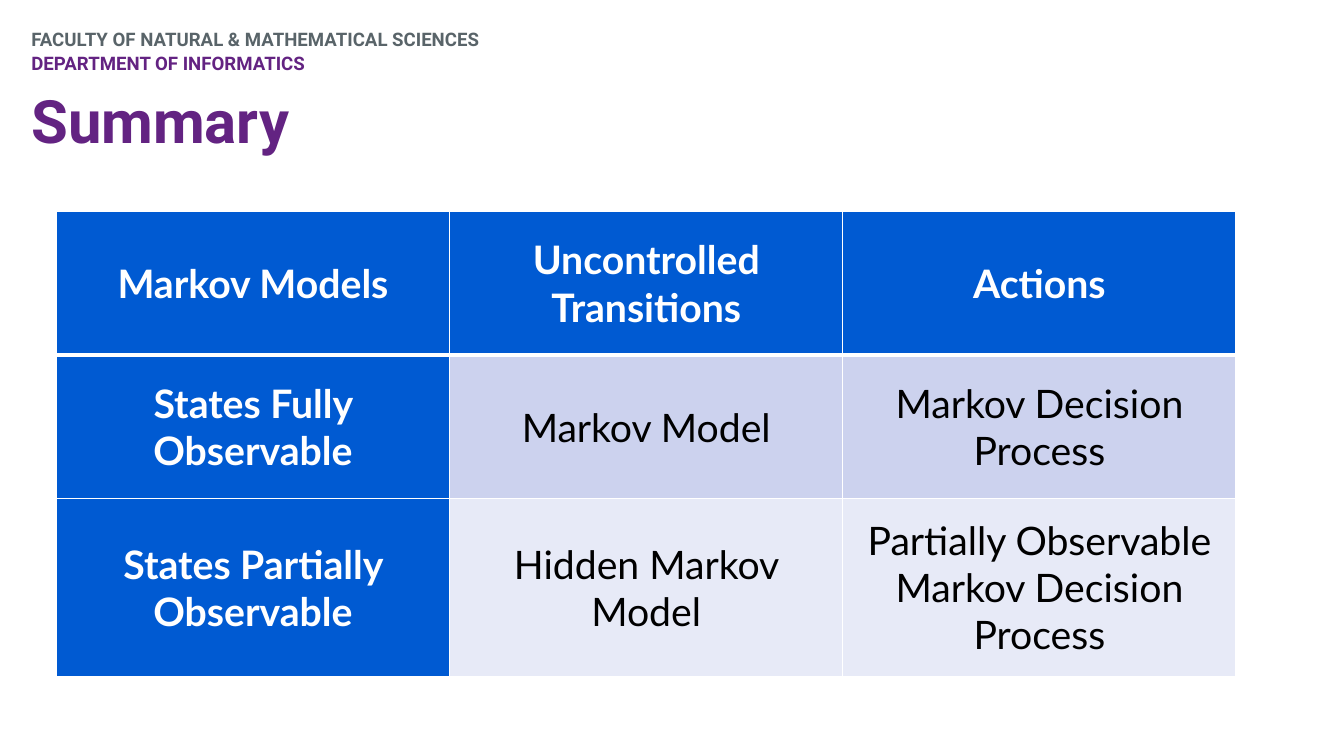
import pptx
import pptx.dml.color
import pptx.enum.text
import pptx.oxml
import pptx.oxml.ns
import pptx.util
from dataclasses import dataclass

Cm, Pt = pptx.util.Cm, pptx.util.Pt
RGB = pptx.dml.color.RGBColor.from_string
ANCHOR, ALIGN = pptx.enum.text.MSO_ANCHOR, pptx.enum.text.PP_ALIGN


@dataclass(frozen=True)
class Theme:
    head_font: str = "Roboto"
    body_font: str = "Lato"
    purple: str = "632382"
    grey: str = "596469"
    blue: str = "005AD2"
    bands: tuple = ("CCD2EE", "E7EAF7")
    white: str = "FFFFFF"
    black: str = "000000"
    label_size: float = 13.3
    title_size: float = 42.7
    cell_size: float = 28


T = Theme()


def style(p, font, size, color, bold, **layout):
    """Format a paragraph's font, then its layout attributes."""
    for name, value in dict(name=font, size=Pt(size), bold=bold).items():
        setattr(p.font, name, value)
    p.font.color.rgb = RGB(color)
    for name, value in layout.items():
        setattr(p, name, value)


def border(cell, side, width):
    """Draw a white line on one side (L, R, T or B) of a cell."""
    cell._tc.get_or_add_tcPr().append(pptx.oxml.parse_xml(
        f'<a:ln{side} {pptx.oxml.ns.nsdecls("a")} w="{Pt(width)}"><a:solidFill>'
        f'<a:srgbClr val="{T.white}"/></a:solidFill></a:ln{side}>'))


prs = pptx.Presentation()
prs.slide_width, prs.slide_height = Cm(33.87), Cm(19.05)
s = prs.slides.add_slide(prs.slide_layouts[5])

# Title and faculty label
title = s.shapes.title
title.left, title.top, title.width, title.height = Cm(0.79), Cm(2.01), Cm(31.57), Cm(2.01)
label = s.shapes.add_textbox(Cm(0.79), Cm(0.71), Cm(22.68), Cm(1.14))
frame = dict(margin_left=0, margin_top=0, margin_right=0, margin_bottom=0,
             word_wrap=True, auto_size=pptx.enum.text.MSO_AUTO_SIZE.NONE)
for sp, anchor in ((title, ANCHOR.MIDDLE), (label, ANCHOR.TOP)):
    for name, value in dict(frame, vertical_anchor=anchor).items():
        setattr(sp.text_frame, name, value)

title.text_frame.text = "Summary"
style(title.text_frame.paragraphs[0], T.head_font, T.title_size, T.purple, True,
      alignment=ALIGN.LEFT)
label.text_frame.text = "FACULTY OF NATURAL & MATHEMATICAL SCIENCES\nDEPARTMENT OF INFORMATICS"
faculty, department = label.text_frame.paragraphs
style(faculty, T.head_font, T.label_size, T.grey, True)
style(department, T.head_font, T.label_size, T.purple, True, space_before=Pt(1))

# Table of Markov models
rows = [
    ("Markov Models", "Uncontrolled\nTransitions", "Actions"),
    ("States Fully Observable", "Markov Model", "Markov Decision Process"),
    ("States Partially Observable", "Hidden Markov Model",
     "Partially Observable Markov Decision Process"),
]
heights = (3.62, 3.62, 4.47)
table = s.shapes.add_table(len(rows), 3, Cm(1.42), Cm(5.33), Cm(29.73), Cm(sum(heights))).table
for col in table.columns:
    col.width = Cm(9.91)
for i, (texts, height) in enumerate(zip(rows, heights)):
    table.rows[i].height = Cm(height)
    for j, text in enumerate(texts):
        cell = table.cell(i, j)
        heading = i == 0 or j == 0
        cell.text = text
        cell.vertical_anchor = ANCHOR.MIDDLE
        for side, width in (("L", 1), ("R", 1), ("T", 3 if i == 1 else 1), ("B", 3 if i == 0 else 1)):
            border(cell, side, width)
        cell.fill.solid()
        cell.fill.fore_color.rgb = RGB(T.blue if heading else T.bands[i - 1])
        for p in cell.text_frame.paragraphs:
            style(p, T.body_font, T.cell_size, T.white if heading else T.black, heading,
                  alignment=ALIGN.CENTER)

prs.save("out.pptx")
